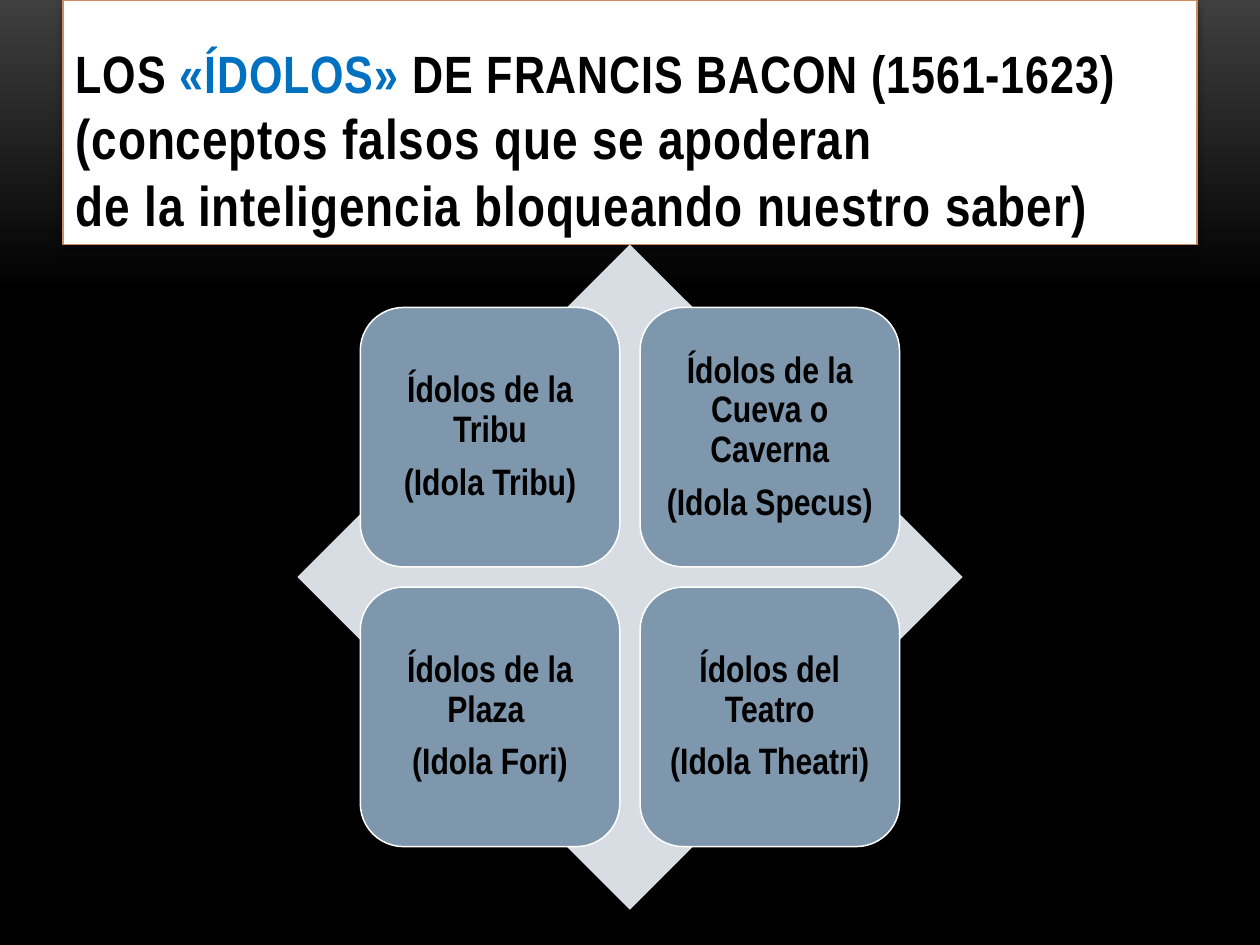
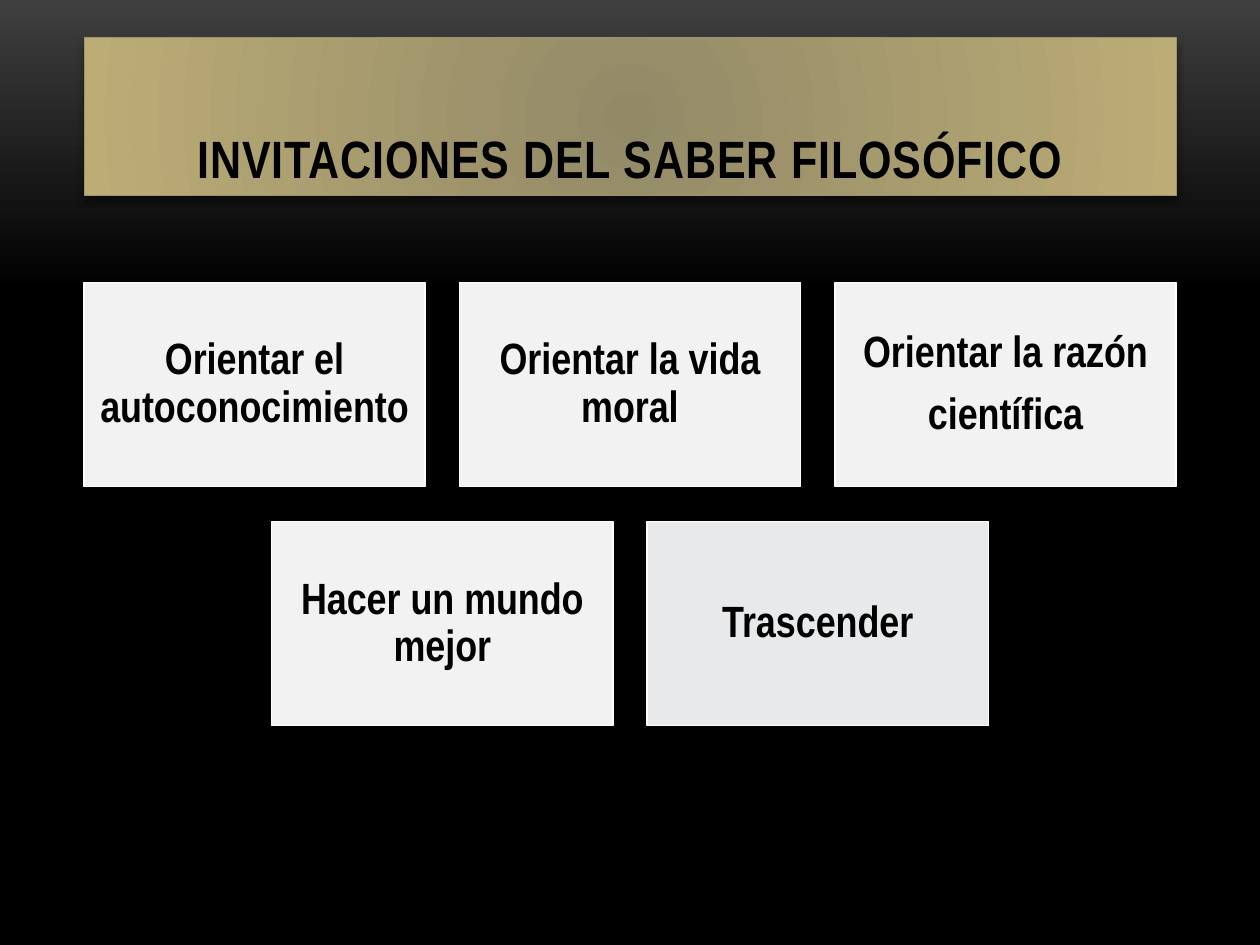
"""Build two slides on Bacon's idols and the invitations of philosophical knowledge."""
from dataclasses import dataclass

from lxml import etree
from pptx import Presentation
from pptx.dml.color import RGBColor
from pptx.enum.shapes import MSO_SHAPE
from pptx.enum.text import MSO_ANCHOR, MSO_AUTO_SIZE, PP_ALIGN
from pptx.oxml import parse_xml
from pptx.oxml.ns import nsdecls, qn
from pptx.util import Inches, Pt


@dataclass(frozen=True)
class Theme:
    font: str = "Arial Narrow"
    ink: str = "000000"
    accent: str = "0070C0"
    white: str = "FFFFFF"
    title_edge: str = "CC8E60"
    banner_edge: str = "9D936F"
    diamond: str = "D8DDE3"
    idol: str = "7E97AD"
    invitation: str = "F2F2F2"
    last_invitation: str = "E7E9EA"
    backdrop: tuple = ((0, "3F3F3F"), (31, "000000"), (100, "000000"))
    banner: tuple = ((0, "928967"), (100, "BCAC76"))
    title_size: int = 30
    subtitle_size: int = 32
    idol_size: int = 21
    invitation_size: int = 25


THEME = Theme()
SLIDE_WIDTH, SLIDE_HEIGHT = 10, 7.5
DOWNWARD = '<a:lin ang="5400000" scaled="0"/>'
RADIAL = ('<a:path path="circle"><a:fillToRect l="100000" t="100000" '
          'r="100000" b="100000"/></a:path>')

IDOLS_TITLE = [
    [("LOS ", THEME.title_size, THEME.ink),
     ("«ÍDOLOS» ", THEME.title_size, THEME.accent),
     ("DE FRANCIS BACON (1561-1623)", THEME.title_size, THEME.ink)],
    [("(conceptos falsos que se apoderan ", THEME.subtitle_size, THEME.ink)],
    [("de la inteligencia bloqueando nuestro saber)", THEME.subtitle_size, THEME.ink)],
]
IDOLS = [
    [(["Ídolos de la Tribu", "(Idola Tribu)"], THEME.idol),
     (["Ídolos de la Cueva o Caverna", "(Idola Specus)"], THEME.idol)],
    [(["Ídolos de la Plaza ", "(Idola Fori)"], THEME.idol),
     (["Ídolos del Teatro", "(Idola Theatri)"], THEME.idol)],
]
INVITATIONS_TITLE = [
    [("INVITACIONES DEL SABER FILOSÓFICO", THEME.title_size, THEME.ink)],
]
INVITATIONS = [
    [(["Orientar el autoconocimiento"], THEME.invitation),
     (["Orientar la vida moral"], THEME.invitation),
     (["Orientar la razón", "científica"], THEME.invitation)],
    [(["Hacer un mundo mejor"], THEME.invitation),
     (["Trascender"], THEME.last_invitation)],
]


def color(code):
    return RGBColor.from_string(code)


def paint(part, fill, edge=None, edge_width=0.85):
    part.fill.solid()
    part.fill.fore_color.rgb = color(fill)
    if edge:
        part.line.color.rgb = color(edge)
        part.line.width = Pt(edge_width)
    else:
        part.line.fill.background()


def blend(owner, stops, direction):
    """Replace the first solid fill of an element by a gradient."""
    marks = "".join(f'<a:gs pos="{position * 1000}"><a:srgbClr val="{code}"/></a:gs>'
                    for position, code in stops)
    gradient = parse_xml(f'<a:gradFill {nsdecls("a")} rotWithShape="1">'
                         f'<a:gsLst>{marks}</a:gsLst>{direction}</a:gradFill>')
    solid = next(owner.iter(qn("a:solidFill")))
    solid.getparent().replace(solid, gradient)


def cast_shadow(part):
    part.shadow.inherit = False
    effects = part.element.spPr.find(qn("a:effectLst"))
    shadow = etree.SubElement(effects, qn("a:outerShdw"), blurRad=str(Pt(4)),
                              dist=str(Pt(3.4)), dir="5400000", rotWithShape="0")
    shade = etree.SubElement(shadow, qn("a:srgbClr"), val=THEME.ink)
    etree.SubElement(shade, qn("a:alpha"), val="40000")


def write_title(slide, lines, box, edge, align):
    title = slide.shapes.title
    title.left, title.top, title.width, title.height = map(Inches, box)
    paint(title, THEME.white, edge, 0.75)
    cast_shadow(title)
    frame = title.text_frame
    frame.word_wrap = True
    frame.auto_size = MSO_AUTO_SIZE.NONE
    frame.vertical_anchor = MSO_ANCHOR.BOTTOM
    heading = frame.paragraphs[0]
    heading.alignment = align
    heading.font.name, heading.font.bold = THEME.font, True
    for index, line in enumerate(lines):
        if index:
            heading.add_line_break()
        for words, size, ink in line:
            run = heading.add_run()
            run.text = words
            run.font.name, run.font.bold = THEME.font, True
            run.font.size, run.font.color.rgb = Pt(size), color(ink)
            run.font._element.set("spc", "50")
    return title


def write_card(card, lines, size, inset):
    frame = card.text_frame
    frame.word_wrap = True
    frame.vertical_anchor = MSO_ANCHOR.MIDDLE
    frame.margin_left = frame.margin_right = Inches(inset)
    frame.margin_top = frame.margin_bottom = Inches(inset)
    frame.text = "\n".join(lines)
    for paragraph in frame.paragraphs:
        paragraph.alignment = PP_ALIGN.CENTER
        paragraph.line_spacing = 0.9
        paragraph.space_after = Pt(size * 0.35)
        paragraph.font.name, paragraph.font.bold = THEME.font, True
        paragraph.font.size = Pt(size)
        paragraph.font.color.rgb = color(THEME.ink)


def add_cards(slide, rows, outline, top, card_size, gaps, text_size, inset):
    """Lay out rows of equal cards, each row centred on the slide."""
    width, height = card_size
    gap_x, gap_y = gaps
    for row_index, row in enumerate(rows):
        row_width = len(row) * width + (len(row) - 1) * gap_x
        left = (SLIDE_WIDTH - row_width) / 2
        for column, (lines, fill) in enumerate(row):
            card = slide.shapes.add_shape(
                outline, Inches(left + column * (width + gap_x)),
                Inches(top + row_index * (height + gap_y)), Inches(width), Inches(height))
            card.shadow.inherit = False
            paint(card, fill, THEME.white)
            write_card(card, lines, text_size, inset)


def build_idols(slide):
    write_title(slide, IDOLS_TITLE, (0.5, 0, 9, 1.94), THEME.title_edge, PP_ALIGN.LEFT)
    diamond = slide.shapes.add_shape(MSO_SHAPE.DIAMOND, Inches(2.36), Inches(1.94),
                                     Inches(5.28), Inches(5.28))
    diamond.shadow.inherit = False
    paint(diamond, THEME.diamond)
    add_cards(slide, IDOLS, MSO_SHAPE.ROUNDED_RECTANGLE, 2.44, (2.06, 2.06),
              (0.16, 0.16), THEME.idol_size, 0.09)


def build_invitations(slide):
    banner = write_title(slide, INVITATIONS_TITLE, (0.67, 0.3, 8.67, 1.25),
                         THEME.banner_edge, PP_ALIGN.CENTER)
    blend(banner.element.spPr, THEME.banner, RADIAL)
    add_cards(slide, INVITATIONS, MSO_SHAPE.RECTANGLE, 2.24, (2.71, 1.62),
              (0.27, 0.28), THEME.invitation_size, 0.1)


def main():
    deck = Presentation()
    deck.slide_width, deck.slide_height = Inches(SLIDE_WIDTH), Inches(SLIDE_HEIGHT)
    master = deck.slide_master
    master.background.fill.solid()
    master.background.fill.fore_color.rgb = color(THEME.ink)
    blend(master.element, THEME.backdrop, DOWNWARD)
    title_only = deck.slide_layouts.get_by_name("Title Only")
    for build in (build_idols, build_invitations):
        build(deck.slides.add_slide(title_only))
    deck.save("out.pptx")


if __name__ == "__main__":
    main()
